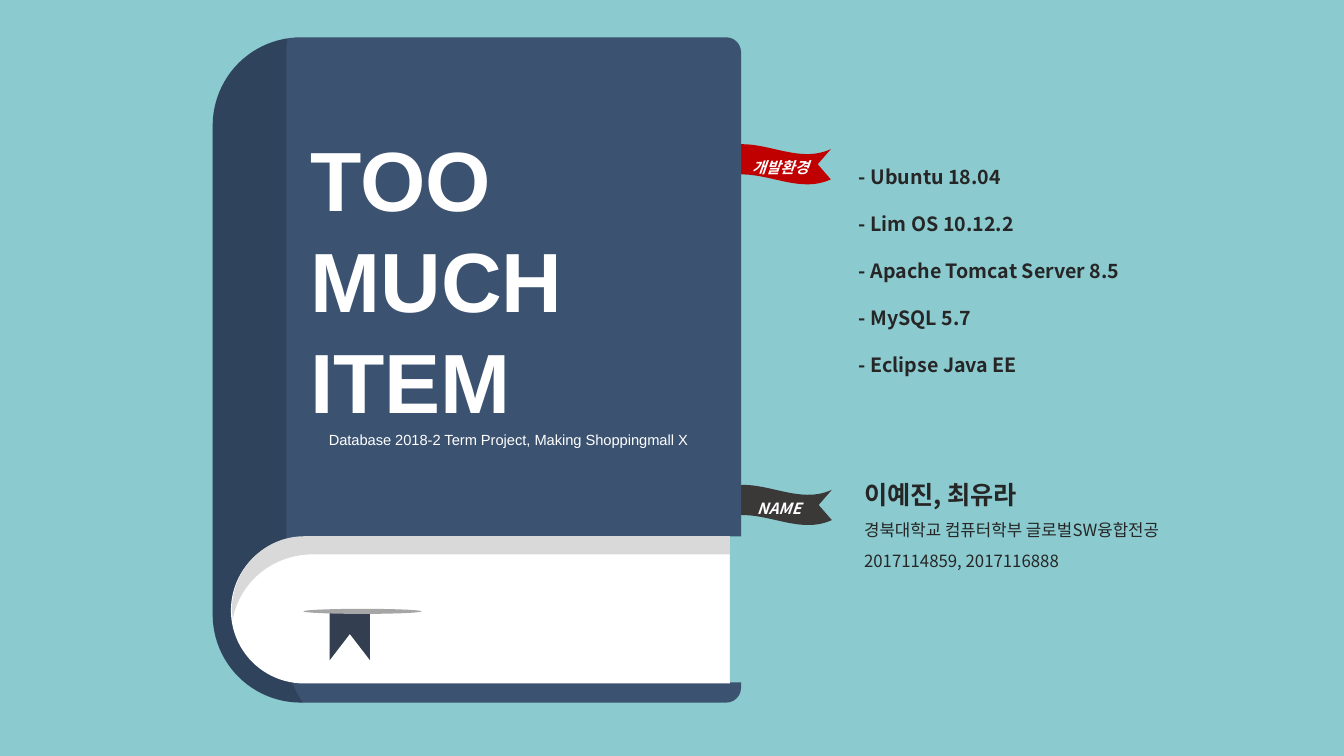
from lxml.etree import SubElement
from pptx import Presentation
from pptx.dml.color import RGBColor
from pptx.enum.shapes import MSO_SHAPE
from pptx.enum.text import MSO_ANCHOR, MSO_AUTO_SIZE, PP_ALIGN
from pptx.oxml.ns import qn
from pptx.util import Inches, Pt

BACKGROUND = "8BCACF"
WHITE = "FFFFFF"
INK = "262626"
KOREAN = "Noto Sans CJK KR"


def color(hex_string):
    return RGBColor.from_string(hex_string)


class BookCover:
    """Draws flat shapes and styled text on one slide."""

    def __init__(self, slide):
        self.slide = slide
        self.slide.background.fill.solid()
        self.slide.background.fill.fore_color.rgb = color(BACKGROUND)

    def paint(self, shape, fill, opacity=None):
        shape.shadow.inherit = False
        shape.fill.solid()
        shape.fill.fore_color.rgb = color(fill)
        shape.line.fill.background()
        if opacity is not None:
            tone = shape._element.spPr.find(qn("a:solidFill"))[0]
            SubElement(tone, qn("a:alpha")).set("val", str(opacity * 1000))

    def preset(self, kind, box, fill, rotation=0, adjustments=()):
        shape = self.slide.shapes.add_shape(kind, *map(Inches, box))
        shape.rotation = rotation
        for index, value in enumerate(adjustments):
            shape.adjustments[index] = value
        self.paint(shape, fill)

    def outline(self, start, segments, fill, opacity=None, overhang=0):
        builder = self.slide.shapes.build_freeform(*map(Inches, start))
        ends = [tuple(map(Inches, segment[-2:])) for segment in segments]
        builder.add_line_segments(ends, close=True)
        shape = builder.convert_to_shape()
        shape.top -= Inches(overhang)
        shape.height += 2 * Inches(overhang)
        outline_path = next(shape._element.iter(qn("a:path")))
        outline_path.set("h", str(shape.height))
        for command, coordinates in zip(outline_path, [start, *segments]):
            if len(coordinates) == 6:
                command.tag = qn("a:cubicBezTo")
            for point in list(command):
                command.remove(point)
            for x, y in zip(coordinates[::2], coordinates[1::2]):
                point = SubElement(command, qn("a:pt"))
                point.set("x", str(Inches(x) - shape.left))
                point.set("y", str(Inches(y) - shape.top))
        self.paint(shape, fill, opacity)

    def ribbon(self, left, top, fill):
        right, bottom = left + 1.12, top + 0.3
        self.outline((left, bottom), [
            (left, top),
            (left + 0.38, top - 0.17, left + 0.75, top + 0.17, right, top),
            (right - 0.13, top + 0.15),
            (right, bottom),
            (left + 0.75, bottom + 0.17, left + 0.38, bottom - 0.17, left, bottom),
        ], fill, overhang=0.05)

    def text(self, box, lines, font=KOREAN, fill=INK, spacing=None, italic=False,
             wrap=True, fixed=False):
        frame = self.slide.shapes.add_textbox(*map(Inches, box)).text_frame
        frame.word_wrap = wrap
        if fixed:
            frame.vertical_anchor = MSO_ANCHOR.MIDDLE
            frame.margin_left = frame.margin_right = 0
            frame.margin_top = frame.margin_bottom = 0
        else:
            frame.auto_size = MSO_AUTO_SIZE.SHAPE_TO_FIT_TEXT
        for index, (words, size, bold, alignment) in enumerate(lines):
            paragraph = frame.add_paragraph() if index else frame.paragraphs[0]
            paragraph.text = words
            paragraph.alignment = alignment
            paragraph.line_spacing = spacing
            paragraph.font.name = font
            paragraph.font.size = Pt(size)
            paragraph.font.bold = bold
            paragraph.font.italic = italic
            paragraph.font.color.rgb = color(fill)
            defaults = paragraph._p.pPr.find(qn("a:defRPr"))
            SubElement(defaults, qn("a:ea")).set("typeface", font)


def main():
    presentation = Presentation()
    presentation.slide_width = Inches(13.33)
    presentation.slide_height = Inches(7.5)
    cover = BookCover(presentation.slides.add_slide(presentation.slide_layouts[6]))
    left = PP_ALIGN.LEFT

    cover.text((8.57, 4.85, 3.25, 0.57), [
        ("이예진, 최유라", 18, True, left),
        ("경북대학교 컴퓨터학부 글로벌SW융합전공", 12, False, left),
        ("2017114859, 2017116888", 12, False, left),
    ], spacing=1.5, fixed=True)
    environment = ("- Ubuntu 18.04", "- Lim OS 10.12.2", "- Apache Tomcat Server 8.5",
                   "- MySQL 5.7", "- Eclipse Java EE")
    cover.text((8.42, 1.35, 2.8, 2.38),
               [(item, 14, True, left) for item in environment], spacing=2)

    ribbons = (
        (7.12, 1.48, "C00000", "개발환경", (7.36, 1.43, 0.82, 0.34)),
        (7.13, 4.86, "3B3838", "NAME", (7.41, 4.81, 0.66, 0.34)),
    )
    for ribbon_left, ribbon_top, fill, label, box in ribbons:
        cover.ribbon(ribbon_left, ribbon_top, fill)
        cover.text(box, [(label, 11, True, left)], fill=WHITE, spacing=1.5,
                   italic=True, wrap=False)

    cover.preset(MSO_SHAPE.ROUND_2_SAME_RECTANGLE, (1.43, 1.05, 6.6, 5.24), "3B5271",
                 270, (0.167, 0.028))
    cover.outline((2.85, 0.38), [
        (2.84, 0.47), (2.84, 6.46),
        (2.84, 6.64, 2.9, 6.81, 2.99, 6.95),
        (3.01, 6.97), (2.98, 6.97),
        (2.5, 6.97, 2.11, 6.58, 2.11, 6.1),
        (2.11, 1.25),
        (2.11, 0.82, 2.41, 0.47, 2.81, 0.39),
    ], "000000", 18)
    cover.preset(MSO_SHAPE.ROUND_2_SAME_RECTANGLE, (4.04, 3.58, 1.45, 4.95), WHITE,
                 270, (0.5, 0))
    cover.preset(MSO_SHAPE.RECTANGLE, (7.24, 5.32, 1.05, 1.45), BACKGROUND)
    cover.outline((3.02, 5.32), [
        (7.24, 5.32), (7.24, 5.5), (3.1, 5.5),
        (2.71, 5.5, 2.38, 5.77, 2.31, 6.14),
        (2.31, 6.15), (2.3, 6.05),
        (2.3, 5.65, 2.62, 5.32, 3.02, 5.32),
    ], "D9D9D9")
    cover.outline((3.27, 6.05), [(3.67, 6.05), (3.67, 6.55), (3.47, 6.29), (3.27, 6.55)],
                  "333F50")
    cover.preset(MSO_SHAPE.OVAL, (3.01, 6.04, 1.17, 0.05), "A6A6A6")

    cover.text((2.98, 1.22, 4.13, 3.31), [
        ("TOO MUCH ITEM", 60, True, left),
        ("Database 2018-2 Term Project, Making Shoppingmall X", 10.5, False,
         PP_ALIGN.CENTER),
    ], font="Arial", fill=WHITE)
    presentation.save("out.pptx")


if __name__ == "__main__":
    main()
